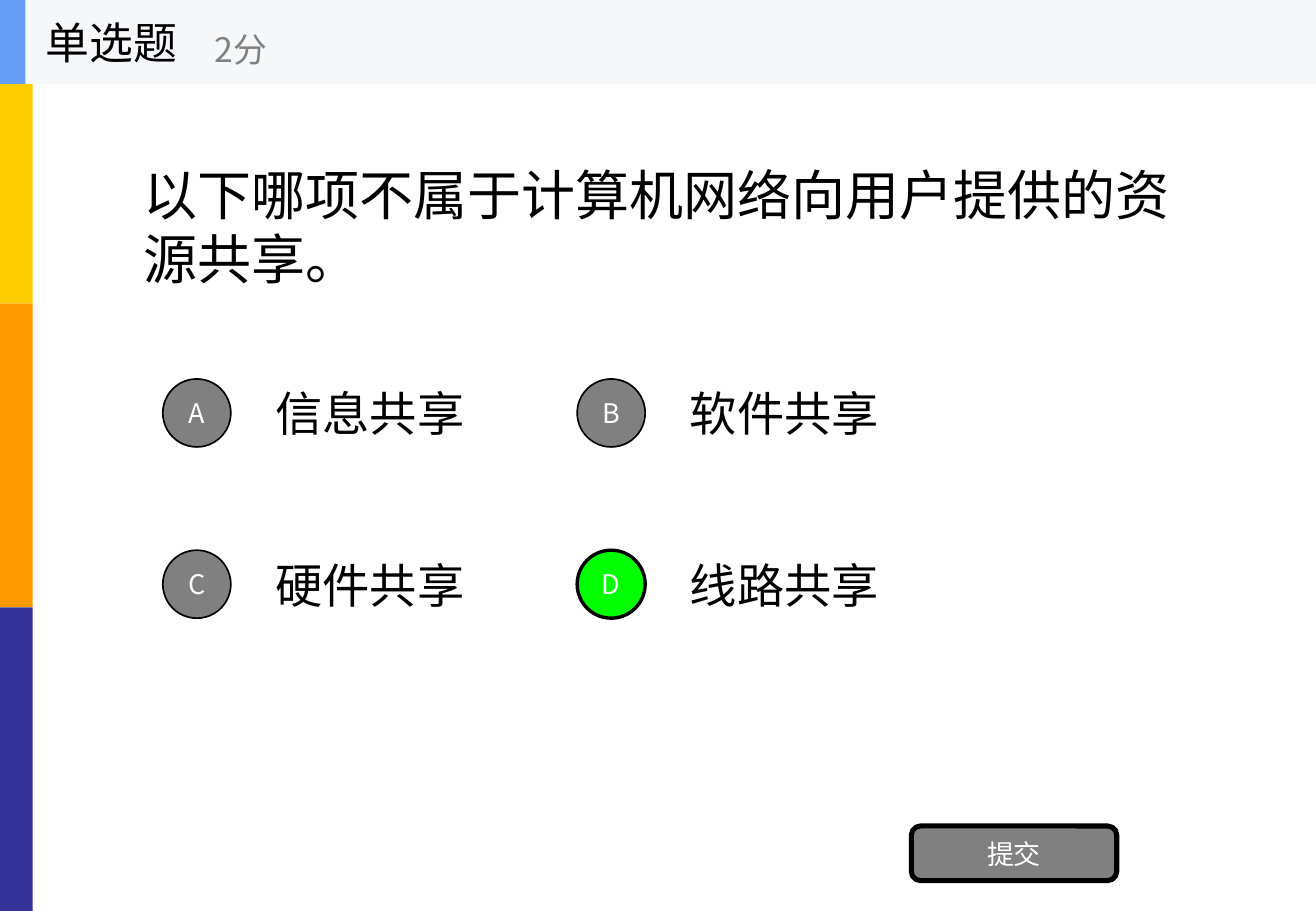
from lxml import etree
from pptx import Presentation
from pptx.dml.color import RGBColor
from pptx.enum.shapes import MSO_SHAPE
from pptx.enum.text import MSO_ANCHOR, MSO_AUTO_SIZE, PP_ALIGN
from pptx.oxml.ns import qn
from pptx.util import Inches, Pt

RECT, OVAL, ROUNDED = MSO_SHAPE.RECTANGLE, MSO_SHAPE.OVAL, MSO_SHAPE.ROUNDED_RECTANGLE
LEFT, CENTER = PP_ALIGN.LEFT, PP_ALIGN.CENTER
MIDDLE, NO_FIT = MSO_ANCHOR.MIDDLE, MSO_AUTO_SIZE.NONE

BLACK = RGBColor(0x00, 0x00, 0x00)
WHITE = RGBColor(0xFF, 0xFF, 0xFF)
GRAY = RGBColor(0x80, 0x80, 0x80)
GREEN = RGBColor(0x00, 0xFF, 0x00)
YELLOW = RGBColor(0xFF, 0xCC, 0x00)
ORANGE = RGBColor(0xFF, 0x99, 0x00)
NAVY = RGBColor(0x33, 0x33, 0x99)
PALE = RGBColor(0xF6, 0xF7, 0xF8)
BLUE = RGBColor(0x63, 0x9E, 0xF4)

BODY_FONT, UI_FONT = "Arial", "Noto Sans CJK SC"
SLIDE_W, SLIDE_H, HEADER_H = 10.83, 7.5, 0.69
CIRCLE = 0.56


def set_text(sp, text, size=16, font=UI_FONT, color=BLACK, align=LEFT, wrap=True):
    tf = sp.text_frame
    tf.word_wrap = wrap
    tf.auto_size = NO_FIT
    tf.vertical_anchor = MIDDLE
    p = tf.paragraphs[0]
    p.alignment = align
    r = p.add_run()
    r.text = text
    r.font.size = Pt(size)
    r.font.name = font
    r.font.color.rgb = color
    # East Asian characters take their own typeface
    etree.SubElement(r.font._element, qn("a:ea"), typeface=font)


def add_label(shapes, box, text, **fmt):
    sp = shapes.add_textbox(*map(Inches, box))
    set_text(sp, text, **fmt)


def add_block(shapes, kind, box, fill, line_width=0):
    sp = shapes.add_shape(kind, *map(Inches, box))
    sp.shadow.inherit = False
    sp.fill.solid()
    sp.fill.fore_color.rgb = fill
    if line_width:
        sp.line.color.rgb = BLACK
        sp.line.width = Pt(line_width)
    else:
        sp.line.fill.background()
    return sp


def add_button(shapes, kind, box, text, fill=GRAY, line_width=1):
    sp = add_block(shapes, kind, box, fill, line_width)
    set_text(sp, text, color=WHITE, align=CENTER)
    sp.text_frame.margin_left = sp.text_frame.margin_right = 0


def add_side_bars(shapes):
    height = SLIDE_H / 3
    for i, color in enumerate((YELLOW, ORANGE, NAVY)):
        add_block(shapes, RECT, (0, i * height, 0.27, height), color)


def add_question(s, text):
    title = s.shapes.title
    title.left, title.top, title.width, title.height = map(
        Inches, (1.08, HEADER_H, 8.67, 2.34))
    set_text(title, text, size=32, font=BODY_FONT)


def add_options(shapes, options, answer):
    for i, (letter, text) in enumerate(options.items()):
        row, col = divmod(i, 2)
        x, y = 1.34 + 3.41 * col, 3.12 + 1.41 * row
        add_label(shapes, (x + 0.83, y - 0.07, 2.9, 0.7), text,
                  size=28, font=BODY_FONT)
        right = letter == answer
        add_button(shapes, OVAL, (x, y, CIRCLE, CIRCLE), letter,
                   GREEN if right else GRAY, 2 if right else 1)


def add_header(shapes, kind, points):
    header = shapes.add_group_shape().shapes
    add_block(header, RECT, (0, 0, SLIDE_W, HEADER_H), PALE)
    add_block(header, RECT, (0, 0, 0.21, HEADER_H), BLUE)
    add_label(header, (0.28, 0, 2.08, HEADER_H), kind, size=26, wrap=False)
    add_label(header, (1.67, 0.12, 2.5, 0.56), points, size=20, color=GRAY, wrap=False)


def main():
    prs = Presentation()
    prs.slide_width, prs.slide_height = Inches(SLIDE_W), Inches(SLIDE_H)
    s = prs.slides.add_slide(prs.slide_layouts[5])

    # Side bars and question
    add_side_bars(s.shapes)
    add_question(s, "以下哪项不属于计算机网络向用户提供的资源共享。")

    # Answers and submit button
    options = {"A": "信息共享", "B": "软件共享", "C": "硬件共享", "D": "线路共享"}
    add_options(s.shapes, options, answer="D")
    add_button(s.shapes, ROUNDED, (7.5, 6.8, 1.69, 0.45), "提交", line_width=3)

    # Header strip
    add_header(s.shapes, "单选题", "2分")
    prs.save("out.pptx")


if __name__ == "__main__":
    main()
